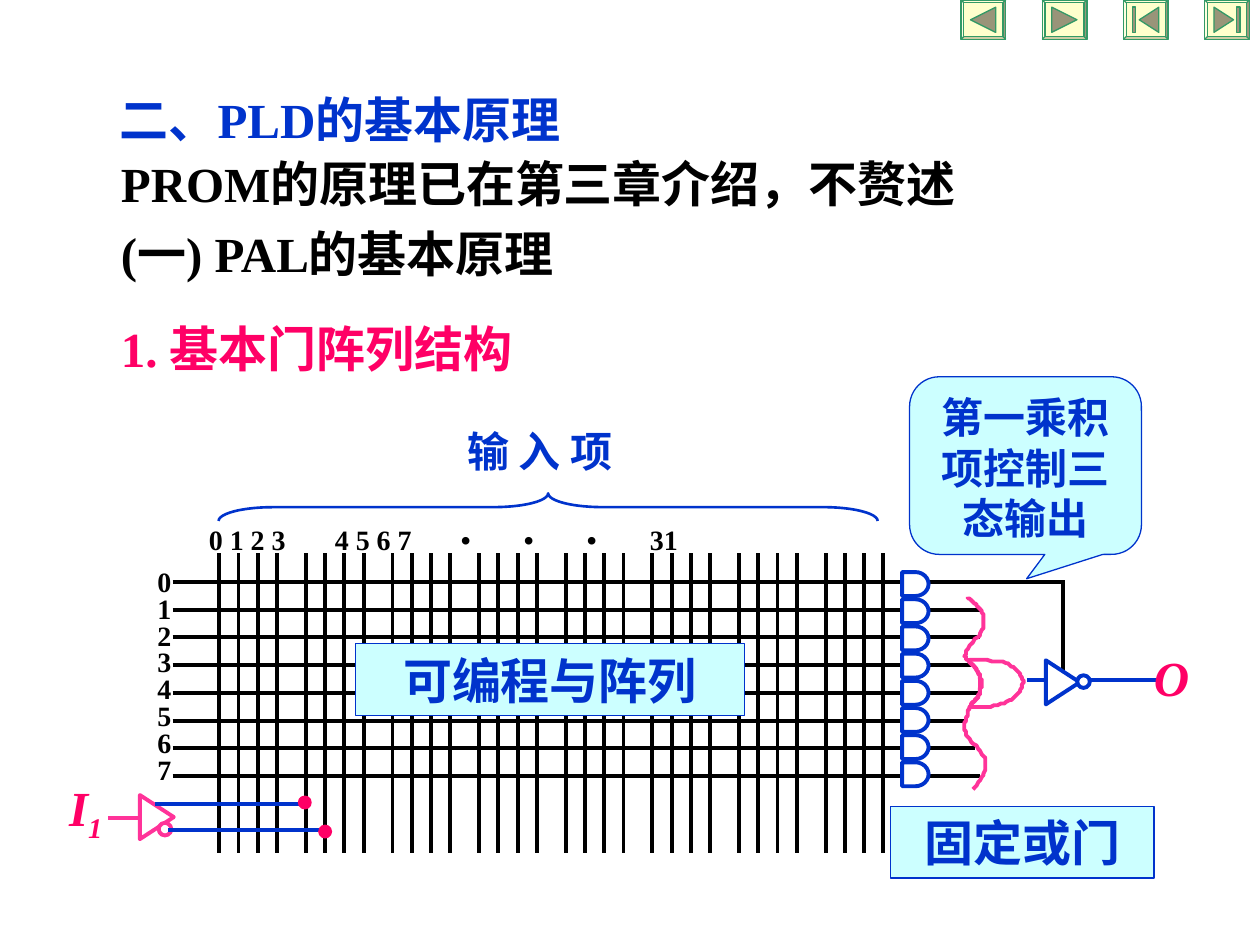
from lxml import etree
from pptx import Presentation
from pptx import util as u
from pptx.dml.color import RGBColor
from pptx.enum import shapes, text
from pptx.oxml.ns import qn

Pt = u.Pt
KIND = shapes.MSO_SHAPE
COLORS = {"blue": "0033CC", "black": "000000", "red": "FF0066", "pink": "FF3399",
          "white": "FFFFFF", "pale": "CCFFFF", "cream": "FFFFCC", "green": "339966",
          "olive": "999479"}


def color(name):
    return RGBColor.from_string(COLORS[name])


def bezier(start, *curves, steps=12):
    """Points along a chain of cubic curves, each given as (x1, y1, x2, y2, x, y)."""
    points = [start]
    for x1, y1, x2, y2, x3, y3 in curves:
        x0, y0 = points[-1]
        for step in range(1, steps + 1):
            t = step / steps
            a, b, c, d = (1 - t) ** 3, 3 * t * (1 - t) ** 2, 3 * t * t * (1 - t), t ** 3
            points.append((a * x0 + b * x1 + c * x2 + d * x3,
                           a * y0 + b * y1 + c * y2 + d * y3))
    return points


class Diagram:
    font = "Times New Roman"
    stroke = 2.25

    def __init__(self, slide):
        self.slide = slide

    def fill_text(self, frame, lines, size, hue, align=text.PP_ALIGN.LEFT, wrap=True,
                  before=(), spacing=None, tabs=(), italic=False):
        """Fill a frame; lines are paragraphs, each a string or a list of run strings."""
        settings = {"word_wrap": wrap, "auto_size": text.MSO_AUTO_SIZE.NONE,
                    "vertical_anchor": text.MSO_ANCHOR.TOP,
                    "margin_left": Pt(7.2), "margin_right": Pt(7.2),
                    "margin_top": Pt(3.6), "margin_bottom": Pt(3.6)}
        for name, value in settings.items():
            setattr(frame, name, value)
        for index, line in enumerate(lines):
            para = frame.add_paragraph() if index else frame.paragraphs[0]
            para.alignment = align
            para.space_before = Pt(before[index] if before else 0)
            if spacing:
                para.line_spacing = spacing
            props = para._p.get_or_add_pPr()
            props.set("marL", "0")
            props.set("indent", "0")
            etree.SubElement(props, qn("a:buNone"))
            if tabs:
                stops = etree.SubElement(props, qn("a:tabLst"))
                for stop in tabs:
                    etree.SubElement(stops, qn("a:tab"), pos=str(Pt(stop)), algn="l")
            for part in [line] if isinstance(line, str) else line:
                run = para.add_run()
                run.text = part
                style = {"name": self.font, "size": Pt(size), "bold": True, "italic": italic}
                for name, value in style.items():
                    setattr(run.font, name, value)
                run.font.color.rgb = color(hue)
        return frame

    def placeholder(self, index, box, lines, size, hue, **options):
        holder = self.slide.placeholders[index]
        holder.left, holder.top, holder.width, holder.height = map(Pt, box)
        return self.fill_text(holder.text_frame, lines, size, hue, **options)

    def label(self, box, lines, size, hue, **options):
        frame = self.slide.shapes.add_textbox(*map(Pt, box)).text_frame
        return self.fill_text(frame, lines, size, hue, **options)

    def paint(self, shape, fill, line, width):
        shape.shadow.inherit = False
        if fill:
            shape.fill.solid()
            shape.fill.fore_color.rgb = color(fill)
        else:
            shape.fill.background()
        shape.line.color.rgb = color(line)
        shape.line.width = Pt(width)
        return shape

    def shape(self, kind, box, fill, line, width=stroke, turn=0, adjust=()):
        shape = self.slide.shapes.add_shape(kind, *map(Pt, box))
        for index, value in enumerate(adjust):
            shape.adjustments[index] = value
        shape.rotation = turn
        return self.paint(shape, fill, line, width)

    def note(self, kind, box, wording, size, adjust=()):
        frame = self.shape(kind, box, "pale", "blue", 0.75, adjust=adjust).text_frame
        self.fill_text(frame, [wording], size, "blue", align=text.PP_ALIGN.CENTER)

    def wire(self, x1, y1, x2, y2, hue="black"):
        wire = self.slide.shapes.add_connector(
            shapes.MSO_CONNECTOR.STRAIGHT, Pt(x1), Pt(y1), Pt(x2), Pt(y2))
        wire.line.color.rgb = color(hue)
        wire.line.width = Pt(self.stroke)
        etree.SubElement(wire._element.spPr, qn("a:effectLst"))

    def curve(self, points, hue, fill=None, close=False):
        builder = self.slide.shapes.build_freeform(*points[0], scale=Pt(1))
        builder.add_line_segments(points[1:], close=close)
        self.paint(builder.convert_to_shape(), fill, hue, self.stroke)

    def inverter(self, x, y, bubble_x, bubble_y, hue):
        self.shape(KIND.ISOSCELES_TRIANGLE, (x, y, 25.2, 19.4), "white", hue, turn=90)
        self.shape(KIND.OVAL, (bubble_x, bubble_y, 7.2, 7.2), "white", hue)

    def button(self, x, turn, center, length, bar=None):
        """Navigation button; center and bar are offsets of the arrow and its stop bar."""
        self.shape(KIND.BEVEL, (x, 0, 25.5, 22.5), "cream", "green", 0.75, adjust=(0.07,))
        self.shape(KIND.ISOSCELES_TRIANGLE,
                   (x + center - 7.2, 11.3 - length / 2, 14.4, length),
                   "olive", "green", 0.75, turn=turn)
        if bar:
            self.shape(KIND.RECTANGLE, (x + bar, 4.1, 1.8, 14.4), "olive", "green", 0.75)


def draw_array(d):
    d.wire(607.7, 331.9, 607.7, 384.5)
    row_ends = [608.4] + [560.2] * 4 + [551.5, 557.3, 560.2]
    for row, end in enumerate(row_ends):
        y = 332.6 + 15.84 * row
        d.wire(98.6, y, end, y)
    d.wire(586.8, 388.8, 663.1, 388.8, "blue")
    d.inverter(594.7, 380.2, 615.6, 385.9, "blue")
    for row in range(len(row_ends)):
        d.shape(KIND.FLOWCHART_DELAY, (515.5, 326.9 + 15.53 * row, 15.1, 13.7),
                "white", "blue")
    for group in range(8):
        for column in range(4):
            x = 125.3 + 49.5 * group + 11 * column
            d.wire(x, 316.1, x, 487.4)


def draw_or_gate(d):
    d.curve(bezier((554.4, 403.9),
                   (557.3, 404.6, 570.2, 403.9, 575.3, 401),
                   (580.3, 398.9, 584.6, 393.1, 584.6, 389.5),
                   (584.6, 385.9, 581, 381.6, 576, 379.4),
                   (571, 377.3, 557.3, 376.6, 554.4, 377.3),
                   (551.5, 378, 557.3, 380.2, 558, 382.3),
                   (559.4, 384.5, 560.9, 388.1, 560.9, 390.2),
                   (560.9, 392.4, 560.2, 394.6, 559.4, 396.7),
                   (558, 398.9, 555.1, 402.5, 554.4, 403.9)), "pink", "white", close=True)
    d.curve(bezier((553, 341.3),
                   (554.4, 342.7, 559.4, 346.3, 560.9, 349.2),
                   (562.3, 352.1, 563, 355.7, 561.6, 359.3),
                   (560.2, 363.6, 552.2, 370.1, 551.5, 373.7),
                   (550.8, 377.3, 555.8, 378.7, 557.3, 381.6),
                   (558.7, 383.8, 560.2, 385.2, 560.2, 388.1),
                   (560.9, 391, 560.2, 395.3, 559.4, 397.4),
                   (558, 400.3, 555.1, 401, 553.7, 404.6),
                   (553, 408.2, 550.1, 413.3, 551.5, 418.3),
                   (553, 423.4, 562.3, 429.1, 563, 434.9),
                   (564.5, 439.9, 560.2, 445.7, 555.8, 451.4)), "pink")


def draw_input(d):
    d.wire(61.9, 467.3, 81.4, 467.3, "pink")
    d.inverter(77, 457.2, 90.7, 470.2, "pink")
    d.wire(177.8, 459.4, 88.6, 459.4, "blue")
    d.wire(189.4, 474.5, 95.8, 474.5, "blue")
    for x, y in ((170.6, 455), (182.2, 471.6)):
        d.shape(KIND.OVAL, (x, y, 7.2, 7.2), "red", "red", 0.75)


def draw_labels(d):
    d.label((112.3, 295.2, 496, 26.6), ["0 1 2 3\t4 5 6 7\t•\t•\t•\t31"], 16, "black",
            tabs=(51, 227, 248.5, 270, 375))
    d.label((82.8, 322.6, 22.3, 149.8), [str(row) for row in range(8)], 16, "black",
            wrap=False, spacing=0.8)
    d.label((652.3, 366.5, 34.6, 41), ["O"], 28, "red", wrap=False, italic=True)
    source = d.label((32.4, 440.6, 49, 45.4), [["I", "1"]], 28, "red", italic=True)
    source.paragraphs[0].runs[1].font._element.set("baseline", "-25000")
    d.shape(KIND.LEFT_BRACE, (305.3, 101.5, 15.8, 376.6), None, "blue", 1.5, turn=90,
            adjust=(1.98, 0.5))
    d.label((259.9, 239.8, 177.1, 36), ["输 入 项"], 24, "blue")
    d.note(KIND.ROUNDED_RECTANGULAR_CALLOUT, (519.8, 215.3, 132.5, 101.5),
           "第一乘积项控制三态输出", 24, adjust=(0.005, 0.637, 0.167))
    d.note(KIND.RECTANGLE, (203, 367.9, 222.5, 41), "可编程与阵列", 28)
    d.note(KIND.RECTANGLE, (509, 460.8, 150.5, 41), "固定或门", 28)


def main():
    deck = Presentation()
    deck.slide_width, deck.slide_height = Pt(720), Pt(540)
    d = Diagram(deck.slides.add_slide(deck.slide_layouts[1]))
    d.placeholder(0, (61.2, 47.5, 301.7, 41), ["二、PLD的基本原理"], 28, "blue")
    body = d.placeholder(1, (61.9, 84.2, 539.3, 136.1),
                         ["PROM的原理已在第三章介绍，不赘述", "(一) PAL的基本原理",
                          "1. 基本门阵列结构"], 28, "black", before=(0, 6.4, 20.8))
    body.paragraphs[2].runs[0].font.color.rgb = color("red")
    draw_array(d)
    draw_or_gate(d)
    draw_input(d)
    draw_labels(d)
    buttons = ((-90, 12.6, 14.4), (90, 12.6, 14.4), (-90, 14.6, 11.2, 5), (90, 10.9, 11.2, 18.4))
    for place, icon in enumerate(buttons):
        d.button(549.2 + 46.4 * place, *icon)
    deck.save("out.pptx")


if __name__ == "__main__":
    main()
